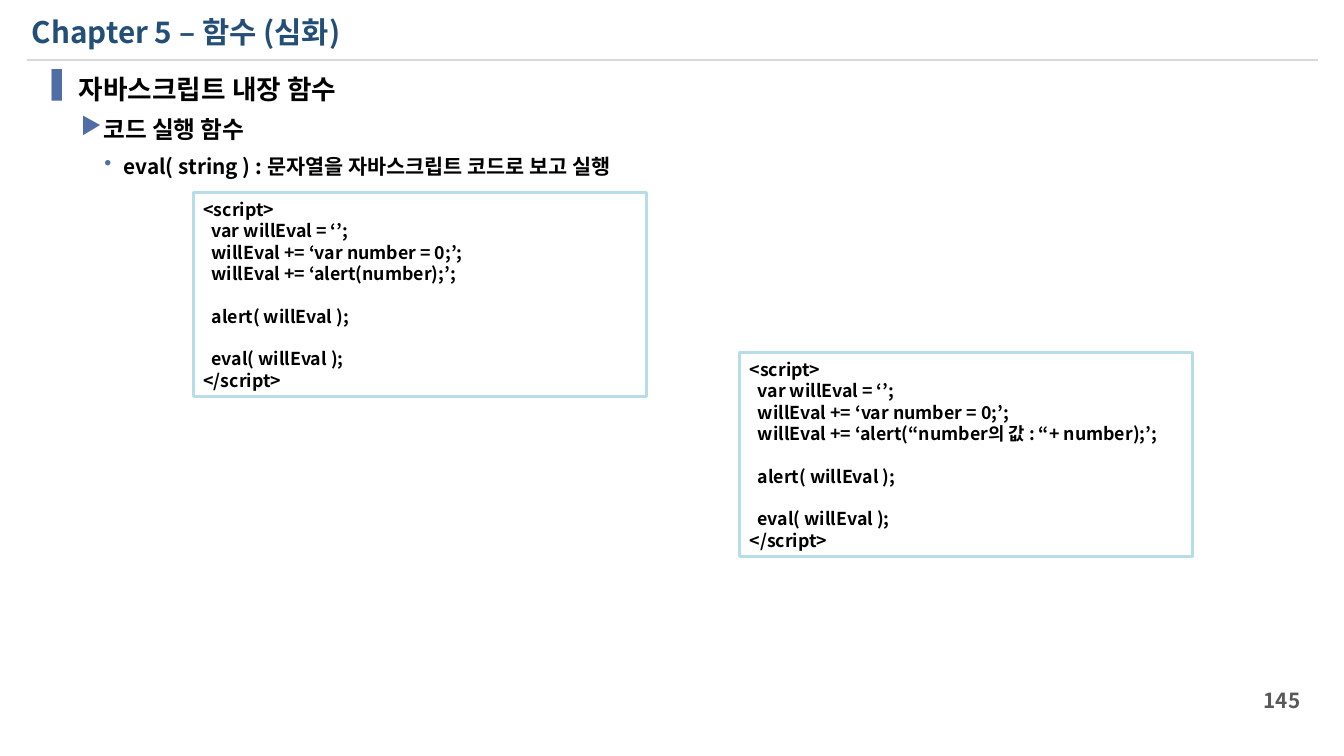
from dataclasses import dataclass

from lxml import etree
from pptx import Presentation
from pptx.dml.color import RGBColor
from pptx.enum.shapes import MSO_CONNECTOR, MSO_SHAPE
from pptx.enum.text import MSO_ANCHOR, PP_ALIGN
from pptx.oxml.ns import qn
from pptx.util import Inches, Pt

STRAIGHT = MSO_CONNECTOR.STRAIGHT
RECTANGLE = MSO_SHAPE.RECTANGLE
TOP, MIDDLE = MSO_ANCHOR.TOP, MSO_ANCHOR.MIDDLE
LEFT, RIGHT = PP_ALIGN.LEFT, PP_ALIGN.RIGHT


@dataclass(frozen=True)
class Theme:
    font: str = "Noto Sans CJK KR"
    ink: str = "000000"
    title: str = "234F77"
    bullet: str = "506EA5"
    number: str = "595959"
    rule: str = "D9D9D9"
    frame: str = "B7DEE8"
    title_size: int = 20
    outline_sizes: tuple = (18, 16, 14)
    number_size: int = 14
    code_size: int = 12
    line_pitch: float = 1.2


class LessonPage:
    def __init__(self, deck, theme):
        self.theme = theme
        self.page = deck.slides.add_slide(deck.slide_layouts[6])

    def style_para(self, para, size, color, align=LEFT):
        para.alignment = align
        para.line_spacing = Pt(size * self.theme.line_pitch)
        para.font.size = Pt(size)
        for span in para.runs:
            span.font.name = self.theme.font
            span.font.size = Pt(size)
            span.font.bold = True
            span.font.color.rgb = RGBColor.from_string(color)
            east_asian = etree.SubElement(span.font._element, qn("a:ea"))
            east_asian.set("typeface", self.theme.font)

    def add_bullet(self, para, mark, text_left, hanging):
        properties = para._p.get_or_add_pPr()
        properties.set("marL", str(Inches(text_left)))
        properties.set("indent", str(-Inches(hanging)))
        color = etree.SubElement(properties, qn("a:buClr"))
        etree.SubElement(color, qn("a:srgbClr")).set("val", self.theme.bullet)
        etree.SubElement(properties, qn("a:buChar")).set("char", mark)

    def text_box(self, bounds, text, anchor=TOP):
        box = self.page.shapes.add_textbox(*map(Inches, bounds))
        frame = box.text_frame
        frame.word_wrap = True
        frame.vertical_anchor = anchor
        frame.text = text
        return frame

    def label(self, bounds, text, size, color, align=LEFT):
        frame = self.text_box(bounds, text, MIDDLE)
        self.style_para(frame.paragraphs[0], size, color, align)

    def outline(self, bounds, entries):
        """Each entry is (bullet mark, text left, hanging indent, text)."""
        frame = self.text_box(bounds, "\n".join(entry[-1] for entry in entries))
        for level, (para, entry) in enumerate(zip(frame.paragraphs, entries)):
            mark, text_left, hanging, _ = entry
            para.level = level
            self.add_bullet(para, mark, text_left, hanging)
            self.style_para(para, self.theme.outline_sizes[level], self.theme.ink)
            if level:
                para.space_before = Pt(7)

    def rule(self, left, right, top):
        line = self.page.shapes.add_connector(
            STRAIGHT, Inches(left), Inches(top), Inches(right), Inches(top))
        line.line.color.rgb = RGBColor.from_string(self.theme.rule)
        line.line.width = Pt(1.5)
        etree.SubElement(line._element.spPr, qn("a:effectLst"))

    def code_panel(self, left, top, code):
        panel = self.page.shapes.add_shape(
            RECTANGLE, Inches(left), Inches(top), Inches(4.25), Inches(1.91))
        panel.shadow.inherit = False
        panel.fill.background()
        panel.line.color.rgb = RGBColor.from_string(self.theme.frame)
        panel.line.width = Pt(2)
        frame = panel.text_frame
        frame.word_wrap = True
        frame.vertical_anchor = MIDDLE
        frame.text = code
        for para in frame.paragraphs:
            self.style_para(para, self.theme.code_size, self.theme.ink)


def eval_script(alert_argument):
    return f"""<script>
  var willEval = ‘’;
  willEval += ‘var number = 0;’;
  willEval += ‘alert({alert_argument});’;

  alert( willEval );

  eval( willEval );
</script>"""


def main():
    deck = Presentation()
    deck.slide_width, deck.slide_height = Inches(12.6), Inches(7.09)
    theme = Theme()
    lesson = LessonPage(deck, theme)
    lesson.rule(0.25, 12.36, 0.56)
    lesson.label((11.35, 6.38, 0.94, 0.38), "145",
                 theme.number_size, theme.number, RIGHT)
    lesson.outline((0.29, 0.63, 12.01, 1.91), [
        ("▐", 0.35, 0.35, "자바스크립트 내장 함수"),
        ("▶", 0.58, 0.21, "코드 실행 함수"),
        ("•", 0.77, 0.18, "eval( string ) : 문자열을 자바스크립트 코드로 보고 실행"),
    ])
    lesson.label((0.2, 0.08, 11.86, 0.44), "Chapter 5 – 함수 (심화)",
                 theme.title_size, theme.title)
    lesson.code_panel(6.93, 3.31, eval_script("“number의 값 : “+ number"))
    lesson.code_panel(1.81, 1.81, eval_script("number"))
    deck.save("out.pptx")


if __name__ == "__main__":
    main()
